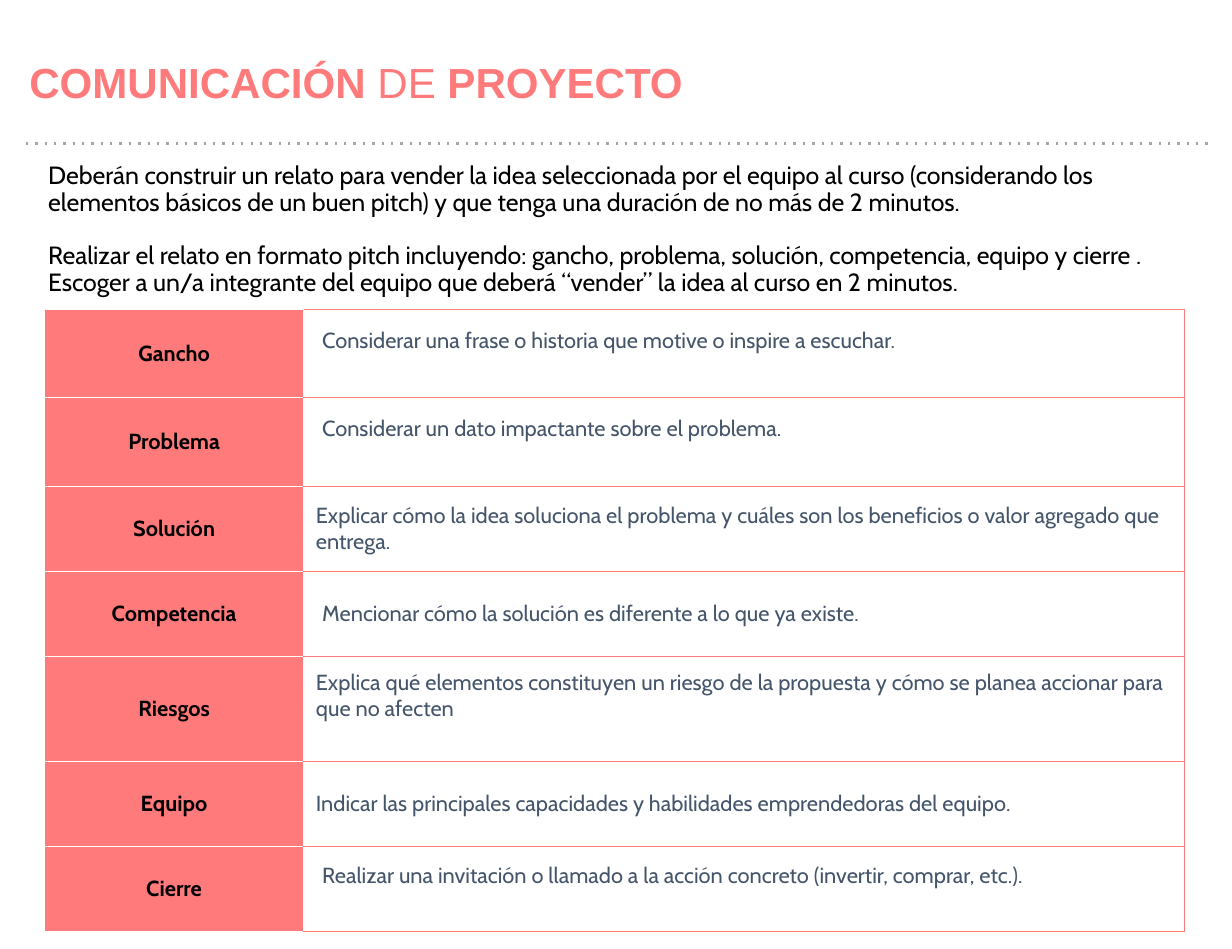
from lxml import etree
from pptx import Presentation
from pptx.dml.color import RGBColor
from pptx.enum import shapes, text
from pptx.oxml import ns
from pptx.util import Pt

CORAL = RGBColor(0xFF, 0x7A, 0x7A)
SLATE = RGBColor(0x44, 0x54, 0x6A)
GREY = RGBColor(0xA5, 0xA5, 0xA5)
BLACK = RGBColor(0, 0, 0)
WHITE = RGBColor(0xFF, 0xFF, 0xFF)

HEADING = [("COMUNICACIÓN ", True), ("DE", False), (" PROYECTO", True)]
# Text and space before
INSTRUCTIONS = [
    ("Deberán construir un relato para vender la idea seleccionada por el equipo "
     "al curso (considerando los elementos básicos de un buen pitch) y que tenga "
     "una duración de no más de 2 minutos.", 0),
    ("Realizar el relato en formato pitch incluyendo: gancho, problema, solución, "
     "competencia, equipo y cierre .", 16.8),
    ("Escoger a un/a integrante del equipo que deberá “vender” la idea al curso "
     "en 2 minutos.", 0),
]
LABEL_WIDTH = 166
CELL_INSET = 8
INDENT = 4
RAISE = 17
# Label, description, row height, extra left inset, extra bottom inset
PITCH_PARTS = [
    ("Gancho", "Considerar una frase o historia que motive o inspire a escuchar.",
     56.8, INDENT, RAISE),
    ("Problema", "Considerar un dato impactante sobre el problema.",
     56.8, INDENT, RAISE),
    ("Solución", "Explicar cómo la idea soluciona el problema y cuáles son los "
     "beneficios o valor agregado que entrega.", 54.6, 0, 0),
    ("Competencia", "Mencionar cómo la solución es diferente a lo que ya existe.",
     54.6, INDENT, 0),
    ("Riesgos", "Explica qué elementos constituyen un riesgo de la propuesta y cómo "
     "se planea accionar para que no afecten", 67.4, 0, RAISE),
    ("Equipo", "Indicar las principales capacidades y habilidades emprendedoras "
     "del equipo.", 54.6, 0, 0),
    ("Cierre", "Realizar una invitación o llamado a la acción concreto (invertir, "
     "comprar, etc.).", 54.6, INDENT, RAISE),
]


def set_insets(frame, left, top, right, bottom):
    frame.margin_left, frame.margin_top = Pt(left), Pt(top)
    frame.margin_right, frame.margin_bottom = Pt(right), Pt(bottom)


def set_font(font, name, size, color, bold=False):
    font.name, font.size, font.bold = name, Pt(size), bold
    font.color.rgb = color


def add_heading(slide, left, top, width, height):
    title = slide.shapes.title
    title.left, title.top, title.width, title.height = map(Pt, (left, top, width, height))
    frame = title.text_frame
    frame.auto_size = text.MSO_AUTO_SIZE.NONE
    frame.vertical_anchor = text.MSO_ANCHOR.MIDDLE
    set_insets(frame, 8, 8, 8, 8)
    paragraph = frame.paragraphs[0]
    paragraph.alignment = text.PP_ALIGN.LEFT
    for words, bold in HEADING:
        run = paragraph.add_run()
        run.text = words
        set_font(run.font, "Arial", 27, CORAL, bold)


def add_divider(slide, left, top, width):
    divider = slide.shapes.add_connector(
        shapes.MSO_CONNECTOR.STRAIGHT, Pt(left), Pt(top), Pt(left + width), Pt(top))
    divider.line.color.rgb = GREY
    divider.line.width = Pt(1.5)
    properties = divider._element.spPr
    etree.SubElement(properties.find(ns.qn("a:ln")), ns.qn("a:prstDash"), val="dot")
    etree.SubElement(properties, ns.qn("a:effectLst"))


def add_instructions(slide, left, top, width, height):
    box = slide.shapes.add_textbox(Pt(left), Pt(top), Pt(width), Pt(height))
    frame = box.text_frame
    frame.word_wrap = True
    set_insets(frame, 8, 4, 8, 4)
    for index, (words, space_before) in enumerate(INSTRUCTIONS):
        paragraph = frame.add_paragraph() if index else frame.paragraphs[0]
        paragraph.text = words
        paragraph.line_spacing = 0.9
        paragraph.space_before = Pt(space_before)
        set_font(paragraph.font, "Cabin", 16, BLACK)


def set_borders(cell, left, others):
    properties = cell._tc.get_or_add_tcPr()
    for side, color in zip("LRTB", (left, others, others, others)):
        border = etree.SubElement(properties, ns.qn(f"a:ln{side}"), w=str(Pt(0.75)))
        fill = etree.SubElement(border, ns.qn("a:solidFill"))
        etree.SubElement(fill, ns.qn("a:srgbClr"), val=str(color))


def fill_cell(cell, words, color, bold, alignment):
    cell.text = words
    cell.vertical_anchor = text.MSO_ANCHOR.MIDDLE
    paragraph = cell.text_frame.paragraphs[0]
    paragraph.alignment = alignment
    set_font(paragraph.font, "Cabin", 14, color, bold)


def add_pitch_table(slide, left, top, width):
    height = sum(part[2] for part in PITCH_PARTS)
    table = slide.shapes.add_table(
        len(PITCH_PARTS), 2, Pt(left), Pt(top), Pt(width), Pt(height)).table
    table.first_row = table.horz_banding = False
    table.columns[0].width = Pt(LABEL_WIDTH)
    table.columns[1].width = Pt(width - LABEL_WIDTH)
    for row, (name, advice, row_height, indent, lift) in zip(table.rows, PITCH_PARTS):
        row.height = Pt(row_height)
        label, description = row.cells
        fill_cell(label, name, BLACK, True, text.PP_ALIGN.CENTER)
        set_insets(label, 5.8, 0, 5.8, 0)
        set_borders(label, WHITE, WHITE)
        label.fill.solid()
        label.fill.fore_color.rgb = CORAL
        fill_cell(description, advice, SLATE, False, text.PP_ALIGN.LEFT)
        set_insets(description, CELL_INSET + indent, CELL_INSET,
                   CELL_INSET, CELL_INSET + lift)
        set_borders(description, WHITE, CORAL)
        description.fill.background()


def main():
    presentation = Presentation()
    presentation.slide_width = Pt(790.88)
    presentation.slide_height = Pt(609.5)
    slide = presentation.slides.add_slide(presentation.slide_layouts[5])
    add_divider(slide, 16.6, 92.2, 762.5)
    add_heading(slide, 10.8, 26.6, 749.5, 51.8)
    add_instructions(slide, 23, 100.8, 737.3, 94)
    add_pitch_table(slide, 28.8, 198.7, 731.5)
    presentation.save("out.pptx")


if __name__ == "__main__":
    main()
